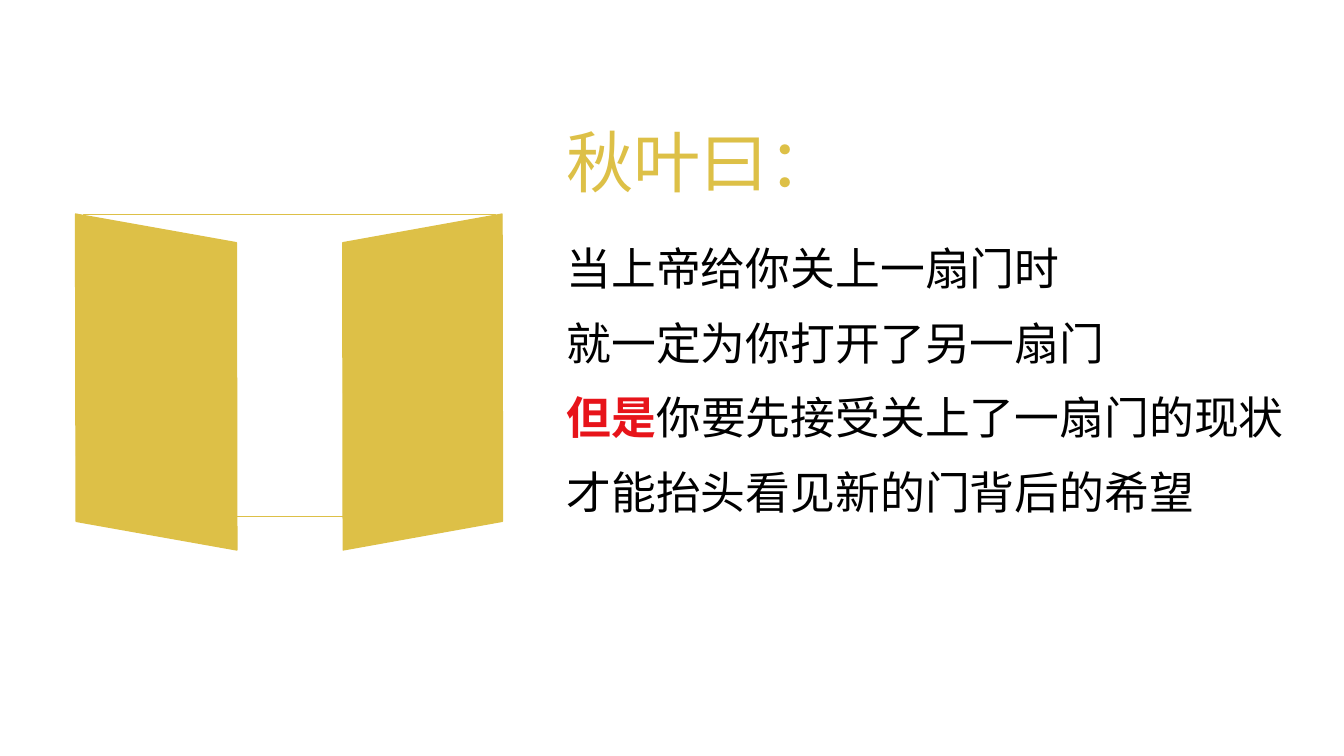
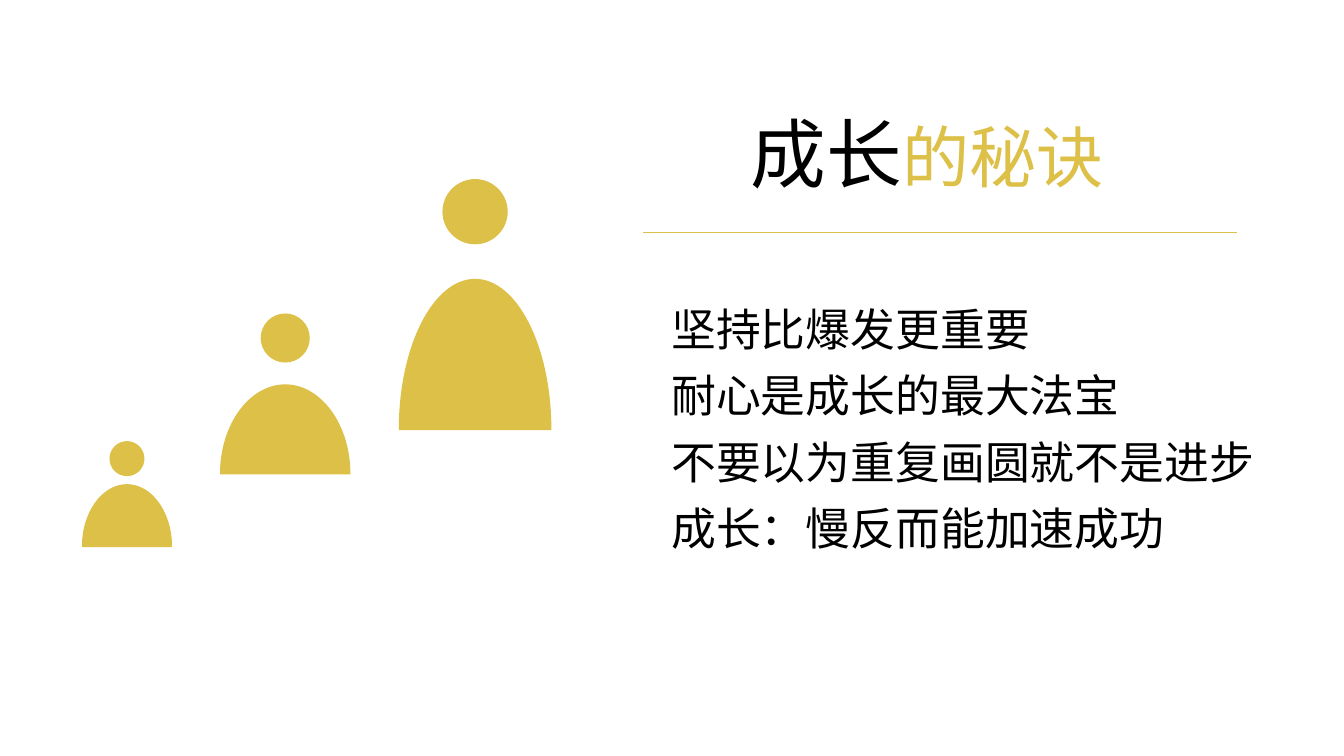
import math
from dataclasses import dataclass

import lxml.etree
import pptx
import pptx.dml.color
import pptx.enum.shapes
import pptx.enum.text
import pptx.oxml.ns
import pptx.util

# Shared look
COLORS = {"gold": "DDC047", "black": "000000", "red": "E7141A", "white": "FFFFFF"}
FONT = "Noto Sans CJK SC"
WIDTH, HEIGHT = pptx.util.Inches(13.333), pptx.util.Inches(7.5)
COLS = 40
CELL = WIDTH / COLS  # columns and rows share one square cell
TITLE_ROWS, BODY_ROWS = 4, 9.6
BEZIER = 0.55  # handle length for a quarter of an ellipse
STYLES = {
    "title": {"size": pptx.util.Pt(48), "bold": False, "color": "gold"},
    "title_big": {"size": pptx.util.Pt(54), "bold": False, "color": "black"},
    "body": {"size": pptx.util.Pt(32), "bold": False, "color": "black"},
    "stress": {"size": pptx.util.Pt(32), "bold": True, "color": "red"},
}
FRAME = {
    "word_wrap": True,
    "auto_size": pptx.enum.text.MSO_AUTO_SIZE.NONE,
    "vertical_anchor": pptx.enum.text.MSO_ANCHOR.MIDDLE,
}

Line = list[tuple[str, str]]  # (text, style) runs
Point = tuple[float, float]


@dataclass
class Box:
    col: float
    row: float
    cols: float
    rows: float


@dataclass
class Door:
    box: Box
    rotation: float
    flipped: bool


@dataclass
class Person:
    col: float
    head_row: float
    head_radius: float
    base_row: float
    half_width: float
    body_height: float


DOORWAY = Box(2.5, 6.38, 12.25, 9)
DOORS = [
    Door(Box(9.37, 6.87, 6.42, 9), 349.8, False),
    Door(Box(1.41, 6.87, 6.48, 9), 10.1, True),
]
PEOPLE = [
    Person(3.78, 13.65, 0.5, 16.26, 1.32, 1.83),
    Person(8.49, 10.06, 0.71, 14.1, 1.92, 2.64),
    Person(14.14, 6.3, 0.95, 12.78, 2.25, 4.46),
]


def cells(n: float) -> int:
    return round(n * CELL)


def rgb(name: str) -> pptx.dml.color.RGBColor:
    return pptx.dml.color.RGBColor.from_string(COLORS[name])


# Text
def write_line(p, line: Line, gap: float) -> None:
    pPr = p._p.get_or_add_pPr()
    for key in ("marL", "indent"):
        pPr.set(key, "0")
    lxml.etree.SubElement(pPr, pptx.oxml.ns.qn("a:buNone"))
    formats = {
        "alignment": pptx.enum.text.PP_ALIGN.LEFT,
        "line_spacing": 1.0,
        "space_before": pptx.util.Pt(gap),
        "space_after": pptx.util.Pt(0),
    }
    for key, value in formats.items():
        setattr(p, key, value)
    for text, style in line:
        r = p.add_run()
        r.text = text
        r.font.name = FONT
        for key, value in STYLES[style].items():
            if key == "color":
                r.font.color.rgb = rgb(value)
            else:
                setattr(r.font, key, value)
        ea = lxml.etree.SubElement(r._r.get_or_add_rPr(), pptx.oxml.ns.qn("a:ea"))
        ea.set("typeface", FONT)


def fill_placeholder(sp, box: Box, lines: list[Line], gap: float = 0) -> None:
    place = {"left": box.col, "top": box.row, "width": box.cols, "height": box.rows}
    for key, value in place.items():
        setattr(sp, key, cells(value))
    tf = sp.text_frame
    for key, value in FRAME.items():
        setattr(tf, key, value)
    for i, line in enumerate(lines):
        p = tf.add_paragraph() if i else tf.paragraphs[0]
        write_line(p, line, gap if i else 0)


def add_slide(prs, title: Line, title_at: Point, body: list[Line], body_box: Box, gap: float):
    s = prs.slides.add_slide(prs.slide_layouts[1])
    col, row = title_at
    fill_placeholder(s.shapes.title, Box(col, row, 16, TITLE_ROWS), [title])
    fill_placeholder(s.placeholders[1], body_box, body, gap)
    return s


# Shapes
def paint(sp, fill: str) -> None:
    sp.shadow.inherit = False
    sp.fill.solid()
    sp.fill.fore_color.rgb = rgb(fill)
    sp.line.color.rgb = rgb("gold")
    sp.line.width = pptx.util.Pt(1)


def add_preset(s, kind, box: Box, fill: str):
    sp = s.shapes.add_shape(kind, *map(cells, (box.col, box.row, box.cols, box.rows)))
    paint(sp, fill)
    return sp


def add_door(s, door: Door) -> None:
    sp = add_preset(s, pptx.enum.shapes.MSO_SHAPE.PARALLELOGRAM, door.box, "gold")
    sp.rotation = door.rotation
    if door.flipped:
        sp._element.spPr.get_or_add_xfrm().set("flipH", "1")


def arc(col: float, row: float, rx: float, ry: float, quarters: int) -> list[Point]:
    """Bezier points of an ellipse, from its left end over the top."""

    def place(angle: float, handle: float) -> Point:
        x = math.cos(angle) - handle * math.sin(angle)
        y = math.sin(angle) + handle * math.cos(angle)
        return cells(col + rx * x), cells(row + ry * y)

    points = [place(math.pi, 0)]
    for q in range(quarters):
        start = math.pi + q * math.pi / 2
        end = start + math.pi / 2
        points += [place(start, BEZIER), place(end, -BEZIER), place(end, 0)]
    return points


def curve_segments(sp) -> None:
    """Turn every three straight segments into one cubic curve."""
    segments = list(sp._element.iter(pptx.oxml.ns.qn("a:lnTo")))
    for i in range(0, len(segments), 3):
        curve = lxml.etree.Element(pptx.oxml.ns.qn("a:cubicBezTo"))
        segments[i].addprevious(curve)
        for segment in segments[i:i + 3]:
            curve.append(segment[0])
            segment.getparent().remove(segment)


def add_people(s, people: list[Person]) -> None:
    outlines = []
    for m in people:
        outlines.append(arc(m.col, m.base_row, m.half_width, m.body_height, 2))
        outlines.append(arc(m.col, m.head_row, m.head_radius, m.head_radius, 4))
    builder = s.shapes.build_freeform(*outlines[0][0])
    for i, outline in enumerate(outlines):
        if i:
            builder.move_to(*outline[0])
        builder.add_line_segments(outline[1:], close=True)
    sp = builder.convert_to_shape()
    curve_segments(sp)
    paint(sp, "gold")


def add_rule(s, start: float, end: float, row: float) -> None:
    c = s.shapes.add_connector(
        pptx.enum.shapes.MSO_CONNECTOR.STRAIGHT, *map(cells, (start, row, end, row))
    )
    c.line.color.rgb = rgb("gold")
    c.line.width = pptx.util.Pt(0.5)
    lxml.etree.SubElement(c._element.spPr, pptx.oxml.ns.qn("a:effectLst"))


# Slides
def add_doors_slide(prs) -> None:
    s = add_slide(
        prs,
        [("秋叶曰：", "title")],
        (16.56, 2.79),
        [
            [("当上帝给你关上一扇门时", "body")],
            [("就一定为你打开了另一扇门", "body")],
            [("但是", "stress"), ("你要先接受关上了一扇门的现状", "body")],
            [("才能抬头看见新的门背后的希望", "body")],
        ],
        Box(16.56, 6.5, 23.1, BODY_ROWS),
        gap=15,
    )
    add_preset(s, pptx.enum.shapes.MSO_SHAPE.RECTANGLE, DOORWAY, "white")
    for door in DOORS:
        add_door(s, door)


def add_growth_slide(prs) -> None:
    tips = ["坚持比爆发更重要", "耐心是成长的最大法宝", "不要以为重复画圆就不是进步", "成长：慢反而能加速成功"]
    s = add_slide(
        prs,
        [("成长", "title_big"), ("的秘诀", "title")],
        (22.05, 2.52),
        [[(tip, "body")] for tip in tips],
        Box(19.68, 7.94, 19.8, BODY_ROWS),
        gap=9,
    )
    add_people(s, PEOPLE)
    add_rule(s, 19.14, 36.81, 6.93)


def main() -> None:
    prs = pptx.Presentation()
    prs.slide_width, prs.slide_height = WIDTH, HEIGHT
    add_doors_slide(prs)
    add_growth_slide(prs)
    prs.save("out.pptx")


if __name__ == "__main__":
    main()
